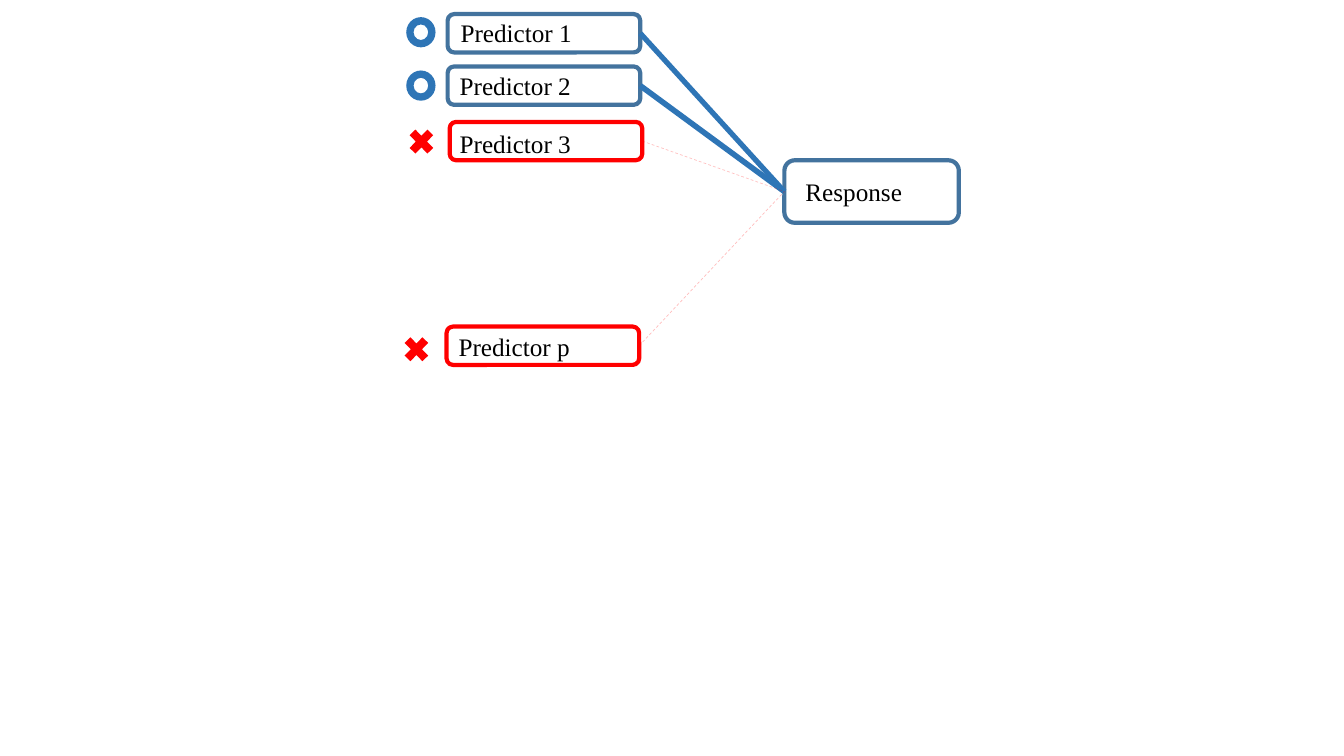
from lxml.etree import SubElement
from pptx import Presentation
from pptx.dml.color import RGBColor
from pptx.enum.dml import MSO_LINE
from pptx.enum.shapes import MSO_CONNECTOR, MSO_SHAPE
from pptx.enum.text import MSO_AUTO_SIZE
from pptx.oxml.ns import qn
from pptx.util import Inches, Pt

WIDTH, HEIGHT = Inches(13.33), Inches(7.5)
BLUE, EDGE, RED, BLACK = "2E75B6", "43739E", "FF0000", "000000"
BOX_SIZE, LABEL_SIZE = (14.33, 5.07), (10.28, 5.33)
DONUT_SIZE, CROSS_SIZE = (2.18, 4), (2.55, 4.67)

# name, kept, box, label, mark, line width, line opacity
PREDICTORS = [
    ("Predictor 1", True, (33.31, 1.87), (33.53, 1.6), (30.23, 2.27), 3.75, 100),
    ("Predictor 2", True, (33.31, 8.8), (33.46, 8.67), (30.23, 9.33), 4, 100),
    ("Predictor 3", False, (33.46, 16.13), (33.46, 16.27), (30.08, 16.4), 0.5, 24),
    ("Predictor p", False, (33.23, 43.2), (33.38, 43.2), (29.71, 43.87), 0.5, 26),
]


def color(value):
    """Turn a hex string into a colour."""
    return RGBColor.from_string(value)


def place(pos, size):
    """Turn percentages of the slide into left, top, width and height."""
    x, y, w, h = pos + size
    return [int(share * side / 100) for share, side in
            ((x, WIDTH), (y, HEIGHT), (w, WIDTH), (h, HEIGHT))]


def add_box(slide, pos, size, line):
    """Add an unfilled rounded box."""
    sp = slide.shapes.add_shape(MSO_SHAPE.ROUNDED_RECTANGLE, *place(pos, size))
    sp.shadow.inherit = False
    sp.fill.background()
    sp.line.color.rgb = color(line)
    sp.line.width = Pt(3)
    return sp


def add_mark(slide, pos, kept):
    """Add a ring for a kept predictor or a cross for a dropped one."""
    kind, size, fill = ((MSO_SHAPE.DONUT, DONUT_SIZE, BLUE) if kept else
                        (MSO_SHAPE.MATH_MULTIPLY, CROSS_SIZE, RED))
    sp = slide.shapes.add_shape(kind, *place(pos, size))
    sp.shadow.inherit = False
    sp.fill.solid()
    sp.fill.fore_color.rgb = color(fill)
    sp.line.fill.background()


def add_link(slide, start, end, kept, width, opacity):
    """Join the right side of one box to the left side of another."""
    link = slide.shapes.add_connector(MSO_CONNECTOR.STRAIGHT, 0, 0, 0, 0)
    link.begin_connect(start, 3)
    link.end_connect(end, 1)
    link.line.width = Pt(width)
    link.line.color.rgb = color(BLUE if kept else RED)
    if not kept:
        link.line.dash_style = MSO_LINE.DASH
        rgb = next(link.line._ln.iter(qn("a:srgbClr")))
        SubElement(rgb, qn("a:alpha"), val=str(opacity * 1000))
    SubElement(link._element.spPr, qn("a:effectLst"))


def add_text(slide, text, pos, size=LABEL_SIZE, pt=18, font="Times New Roman", fill=BLACK):
    """Add a one-line text box."""
    tf = slide.shapes.add_textbox(*place(pos, size)).text_frame
    tf.word_wrap = True
    tf.auto_size = MSO_AUTO_SIZE.SHAPE_TO_FIT_TEXT
    r = tf.paragraphs[0].add_run()
    r.text = text
    r.font.size = Pt(pt)
    r.font.name = font
    r.font.color.rgb = color(fill)


def main():
    """Build the slide."""
    prs = Presentation()
    prs.slide_width, prs.slide_height = WIDTH, HEIGHT
    slide = prs.slides.add_slide(prs.slide_layouts[6])
    response = add_box(slide, (58.36, 21.2), (12.98, 8.27), EDGE)
    add_text(slide, "Response", (59.19, 22.67))
    for name, kept, box, label, mark, width, opacity in PREDICTORS:
        predictor = add_box(slide, box, BOX_SIZE, EDGE if kept else RED)
        add_link(slide, predictor, response, kept, width, opacity)
        add_text(slide, name, label)
        add_mark(slide, mark, kept)
    prs.save("out.pptx")


if __name__ == "__main__":
    main()
